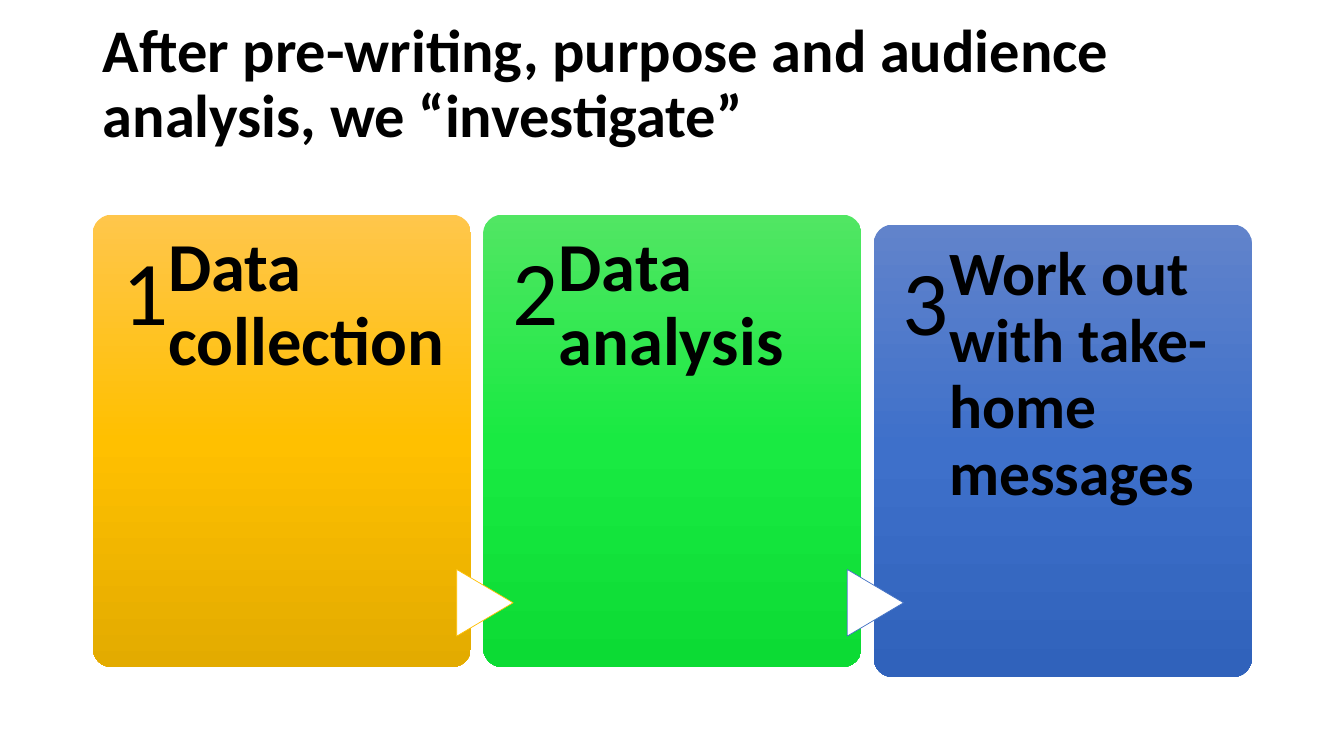
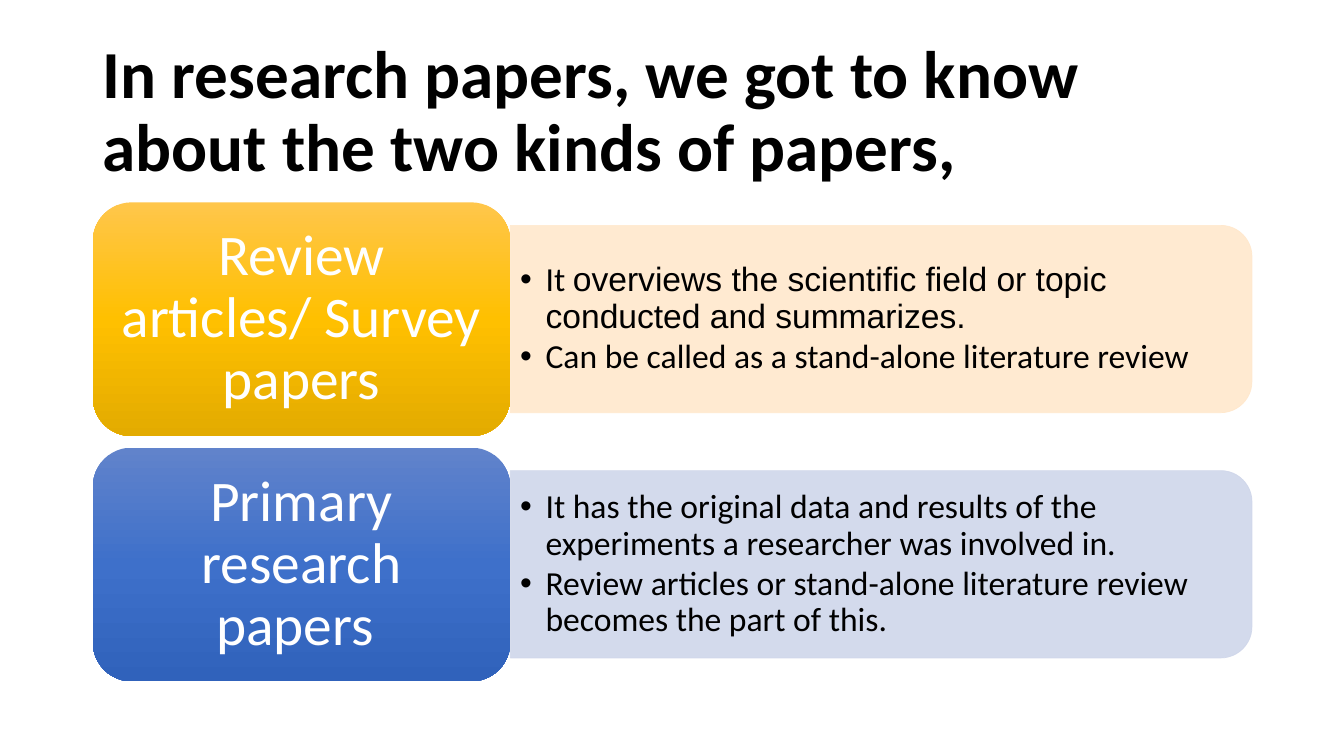
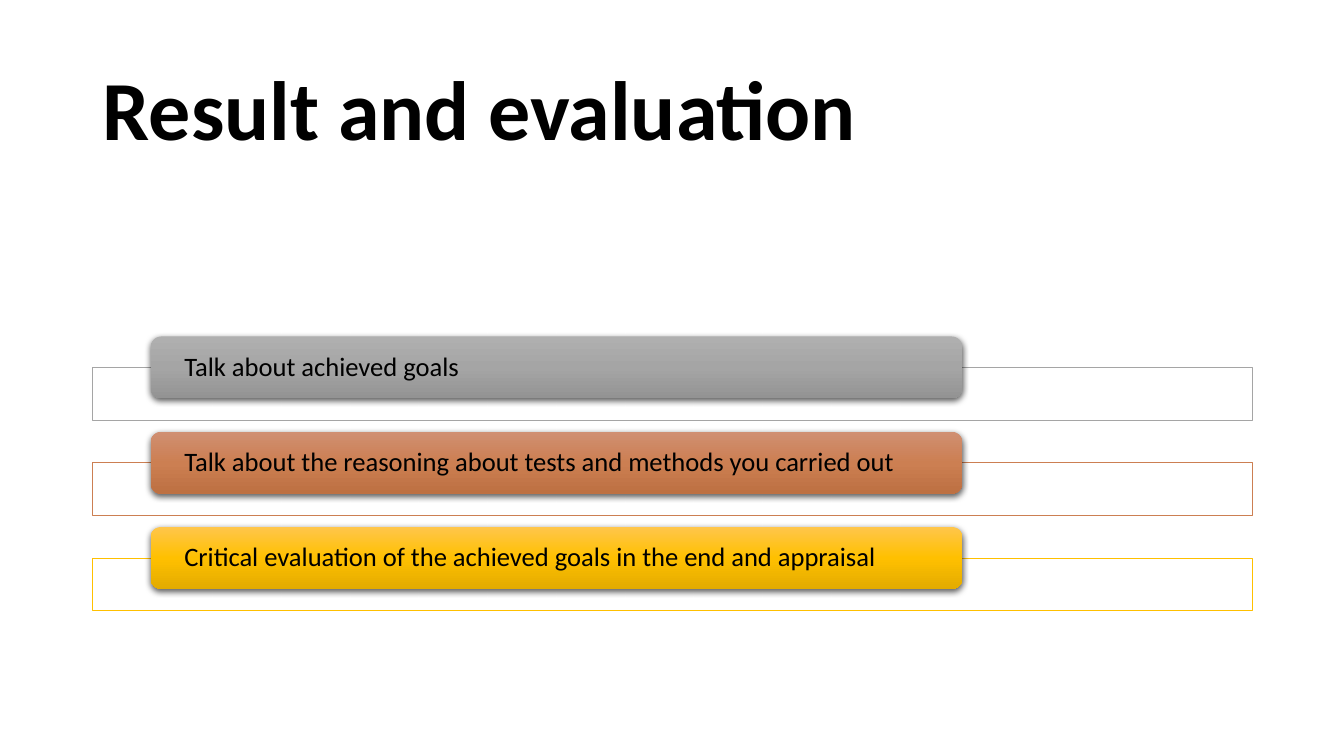
from copy import deepcopy
from dataclasses import dataclass

from lxml.etree import SubElement
from pptx import Presentation
from pptx.dml.color import RGBColor
from pptx.enum.shapes import MSO_SHAPE as Preset
from pptx.enum.text import MSO_ANCHOR as Anchor
from pptx.enum.text import MSO_AUTO_SIZE as AutoSize
from pptx.enum.text import PP_ALIGN as Align
from pptx.oxml.ns import qn
from pptx.shapes.autoshape import Shape
from pptx.slide import Slide
from pptx.text.text import TextFrame, _Paragraph as Paragraph
from pptx.util import Cm, Pt

COLORS = {
    "black": "000000",
    "white": "FFFFFF",
    "gold": "FFC000",
    "blue": "4472C4",
    "gray": "A5A5A5",
    "rust": "CC7F52",
    "pale gold": "FFE8CC",
    "pale blue": "CFD6EA",
}
GRADIENTS = {
    "gold": ("FFC64B", "FFC000", "E3AB00"),
    "green": ("51E663", "19EA42", "0CDB34"),
    "blue": ("6183CB", "3E70CA", "3062BB"),
    "gray": ("AFAFAF", "A5A5A5", "939393"),
    "rust": ("D08F72", "CC7F52", "BD7042"),
}
FONT = "Calibri"
LEFT, WIDTH = 2.34, 29.21


@dataclass(frozen=True)
class Box:
    """A place on the page, in centimetres."""
    left: float
    top: float
    width: float
    height: float

    def lengths(self) -> tuple[Cm, Cm, Cm, Cm]:
        return Cm(self.left), Cm(self.top), Cm(self.width), Cm(self.height)

    def turned(self) -> "Box":
        """The box that covers this one after a quarter turn."""
        shift = (self.width - self.height) / 2
        return Box(self.left + shift, self.top - shift, self.height, self.width)


@dataclass(frozen=True)
class Span:
    text: str
    font: str = FONT


@dataclass(frozen=True)
class Step:
    heading: str
    size: float
    gradient: str
    top: float
    arrow_line: str | None = None


@dataclass(frozen=True)
class PaperKind:
    label: str
    gradient: str
    panel: str
    points: tuple[tuple[Span, ...], ...]


@dataclass(frozen=True)
class Goal:
    text: str
    color: str


STEPS = (
    Step("Data collection", 49, "gold", 5.41),
    Step("Data analysis", 49, "green", 5.41, "gold"),
    Step("Work out with take- home messages", 44, "blue", 5.66, "blue"),
)
PAPER_KINDS = (
    PaperKind("Review articles/ Survey papers", "gold", "pale gold", (
        (Span("It "), Span("overviews the scientific field or topic conducted and summarizes.", "Arial")),
        (Span("Can be called as a stand-alone literature review"),),
    )),
    PaperKind("Primary research papers ", "blue", "pale blue", (
        (Span("It has the original data and results of the experiments a researcher was involved in."),),
        (Span("Review articles or stand-alone literature review becomes the part of this."),),
    )),
)
GOALS = (
    Goal("Talk about achieved goals", "gray"),
    Goal("Talk about the reasoning about tests and methods you carried out", "rust"),
    Goal("Critical evaluation of the achieved goals in the end and appraisal", "gold"),
)


def rgb(name: str) -> RGBColor:
    return RGBColor.from_string(COLORS[name])


def add_run(para: Paragraph, span: Span, size: float, color: str = "black", bold: bool = False) -> None:
    run = para.add_run()
    run.text = span.text
    run.font.name = span.font
    run.font.size = Pt(size)
    run.font.bold = bold
    run.font.color.rgb = rgb(color)


def set_frame(frame: TextFrame, anchor: Anchor, insets: tuple[float, float, float, float]) -> None:
    """Set wrapping, anchor and the left, top, right and bottom insets in centimetres."""
    frame.word_wrap = True
    frame.auto_size = AutoSize.NONE
    frame.vertical_anchor = anchor
    (frame.margin_left, frame.margin_top,
     frame.margin_right, frame.margin_bottom) = map(Cm, insets)


def write(frame: TextFrame, text: str, size: float, color: str = "black",
          bold: bool = False, align: Align = Align.LEFT) -> None:
    para = frame.paragraphs[0]
    para.alignment = align
    para.line_spacing = 0.9
    add_run(para, Span(text), size, color, bold)


def add_text(page: Slide, box: Box, insets: tuple[float, float, float, float],
             anchor: Anchor = Anchor.TOP) -> TextFrame:
    frame = page.shapes.add_textbox(*box.lengths()).text_frame
    set_frame(frame, anchor, insets)
    return frame


def add_plain(page: Slide, preset: Preset, box: Box, fill: str, line: str) -> Shape:
    shape = page.shapes.add_shape(preset, *box.lengths())
    shape.shadow.inherit = False
    shape.fill.solid()
    shape.fill.fore_color.rgb = rgb(fill)
    shape.line.color.rgb = rgb(line)
    shape.line.width = Pt(0.5)
    return shape


def add_rounded(page: Slide, box: Box, gradient: str) -> Shape:
    """Add a borderless rounded box with a three-stop gradient from top to bottom."""
    shape = page.shapes.add_shape(Preset.ROUNDED_RECTANGLE, *box.lengths())
    shape.shadow.inherit = False
    shape.line.fill.background()
    shape.fill.gradient()
    shape.fill.gradient_angle = 270
    stop_list = shape._element.spPr.find(qn("a:gradFill")).find(qn("a:gsLst"))
    stop_list.append(deepcopy(stop_list[-1]))
    for index, (stop, color) in enumerate(zip(shape.fill.gradient_stops, GRADIENTS[gradient])):
        stop.position = index / 2
        stop.color.rgb = RGBColor.from_string(color)
    return shape


def make_translucent(shape: Shape) -> None:
    """Let fill and line show at 90 % opacity."""
    for color in shape._element.spPr.iter(qn("a:srgbClr")):
        SubElement(color, qn("a:alpha"), val="90000")


def drop_shadow(shape: Shape) -> None:
    effects = shape._element.spPr.find(qn("a:effectLst"))
    shadow = SubElement(effects, qn("a:outerShdw"), blurRad=str(Pt(4.5)),
                        dist=str(Pt(1.5)), dir="5400000", algn="ctr", rotWithShape="0")
    color = SubElement(shadow, qn("a:srgbClr"), val=COLORS["black"])
    SubElement(color, qn("a:alpha"), val="63000")


def set_bullet(para: Paragraph) -> None:
    properties = para._p.get_or_add_pPr()
    properties.set("marL", str(Cm(0.64)))
    properties.set("indent", str(-Cm(0.64)))
    SubElement(properties, qn("a:buFont"), typeface="Arial")
    SubElement(properties, qn("a:buChar"), char="•")


def add_page(deck: Presentation, title: str, size: float, height: float = 3.68) -> Slide:
    page = deck.slides.add_slide(deck.slide_layouts[5])
    holder = page.shapes.title
    holder.left, holder.top, holder.width, holder.height = Box(LEFT, 1.01, WIDTH, height).lengths()
    set_frame(holder.text_frame, Anchor.MIDDLE, (0.25, 0.13, 0.25, 0.13))
    write(holder.text_frame, title, size, bold=True)
    return page


def add_step(page: Slide, index: int, step: Step) -> None:
    left = LEFT + index * 9.84
    height = 11.4
    card = add_rounded(page, Box(left, step.top, 9.53, height), step.gradient)
    card.adjustments[0] = 0.05
    number = add_text(page, Box(left, step.top, 1.9, 9.37), (0, 0.81, 0, 0))
    write(number, str(index + 1), 65, align=Align.RIGHT)
    if step.arrow_line:
        place = Box(left - 0.67, 14.35, 1.42, 1.68).turned()
        arrow = add_plain(page, Preset.FLOWCHART_EXTRACT, place, "white", step.arrow_line)
        arrow.rotation = 90
    heading = add_text(page, Box(left + 1.9, step.top, 7.09, height), (0, 0.45, 0, 0))
    write(heading, step.heading, step.size, bold=True)


def add_paper_kind(page: Slide, index: int, kind: PaperKind) -> None:
    top = 5.1 + index * 6.18
    label_width = 10.52
    panel_left = LEFT + label_width
    panel_box = Box(panel_left, top + 0.58, WIDTH - label_width, 4.72)
    panel = add_plain(page, Preset.ROUND_2_SAME_RECTANGLE, panel_box.turned(), kind.panel, kind.panel)
    panel.rotation = 90
    make_translucent(panel)
    frame = add_text(page, Box(panel_left, top + 0.81, 18.47, 4.27),
                     (0.25, 0.13, 0.25, 0.13), Anchor.MIDDLE)
    for number, spans in enumerate(kind.points):
        para = frame.add_paragraph() if number else frame.paragraphs[0]
        set_bullet(para)
        para.line_spacing = 0.9
        para.space_after = Pt(3)
        for span in spans:
            add_run(para, span, 24)
    label = add_rounded(page, Box(LEFT, top, label_width, 5.89), kind.gradient)
    set_frame(label.text_frame, Anchor.MIDDLE, (0.43, 0.23, 0.43, 0.23))
    write(label.text_frame, kind.label, 41, "white", align=Align.CENTER)


def add_goal(page: Slide, index: int, goal: Goal) -> None:
    top = 8.48 + index * 2.4
    add_plain(page, Preset.RECTANGLE, Box(LEFT, top + 0.78, WIDTH, 1.33), "white", goal.color)
    tab = add_rounded(page, Box(LEFT + 1.46, top, 20.45, 1.56), goal.color)
    drop_shadow(tab)
    set_frame(tab.text_frame, Anchor.MIDDLE, (0.77, 0, 0.77, 0))
    write(tab.text_frame, goal.text, 19)


def main() -> None:
    deck = Presentation()
    deck.slide_width, deck.slide_height = Cm(33.87), Cm(19.05)

    page = add_page(deck, "After pre-writing, purpose and audience analysis, we “investigate”", 43.2, 2.29)
    for index, step in enumerate(STEPS):
        add_step(page, index, step)

    page = add_page(deck, "In research papers, we got to know about the two kinds of papers,", 48)
    for index, kind in enumerate(PAPER_KINDS):
        add_paper_kind(page, index, kind)

    page = add_page(deck, "Result and evaluation", 60)
    for index, goal in enumerate(GOALS):
        add_goal(page, index, goal)

    deck.save("out.pptx")


if __name__ == "__main__":
    main()
